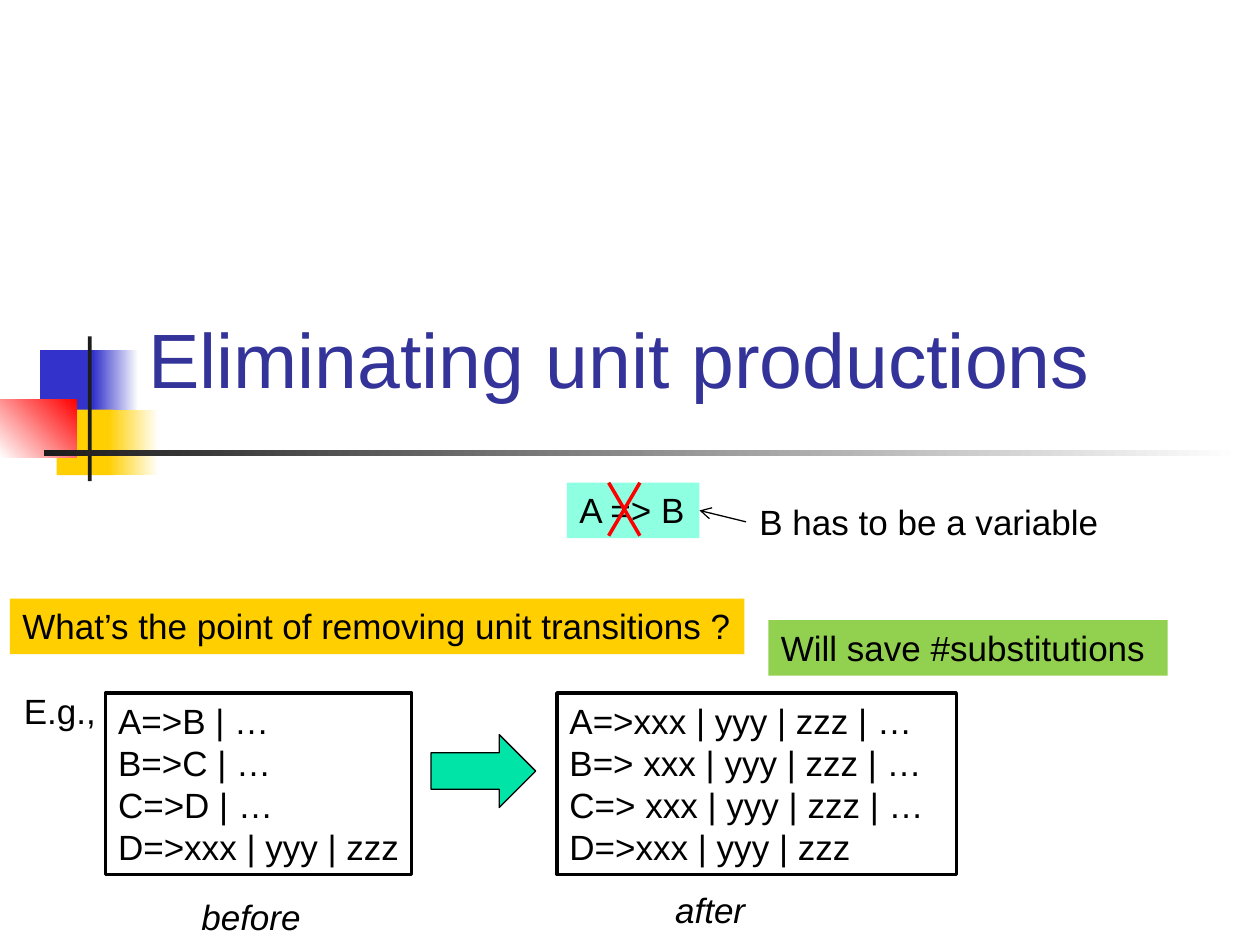
from pptx import Presentation
from pptx.dml.color import RGBColor
from pptx.enum.shapes import MSO_CONNECTOR, MSO_SHAPE
from pptx.enum.text import MSO_ANCHOR, PP_ALIGN
from pptx.oxml.ns import qn
from pptx.util import Cm, Pt
from lxml import etree

RECTANGLE = MSO_SHAPE.RECTANGLE
RIGHT_ARROW = MSO_SHAPE.RIGHT_ARROW
STRAIGHT = MSO_CONNECTOR.STRAIGHT
TOP, BOTTOM = MSO_ANCHOR.TOP, MSO_ANCHOR.BOTTOM
LEFT = PP_ALIGN.LEFT
RIGHT_SIDE = 3

COLORS = {
    "blue": "3333CC", "yellow": "FFCF01", "red": "FF0000", "dark": "1C1C1C",
    "white": "FFFFFF", "black": "000000", "title": "333399",
    "aqua": "8EFFE1", "teal": "00E4A8", "green": "92D050",
}
RGB = {name: RGBColor.from_string(value) for name, value in COLORS.items()}

prs = Presentation()
prs.slide_width, prs.slide_height = Cm(25.4), Cm(19.05)
slide = prs.slides.add_slide(prs.slide_layouts[6])
shapes = slide.shapes


def add_block(box, fill=None, fade_to=None, angle=0, outline=None, preset=RECTANGLE):
    """Add a preset shape, filled plainly or fading from one colour to another."""
    block = shapes.add_shape(preset, *[Cm(n) for n in box])
    block.shadow.inherit = False
    if fade_to:
        block.fill.gradient()
        block.fill.gradient_angle = angle
        for stop, color in zip(block.fill.gradient_stops, (fill, fade_to)):
            stop.color.rgb = RGB[color]
        block.fill.gradient_stops[0].position = 0
        block.fill.gradient_stops[1].position = 1
    elif fill:
        block.fill.solid()
        block.fill.fore_color.rgb = RGB[fill]
    if outline:
        block.line.color.rgb = RGB["black"]
        block.line.width = Pt(outline)
    else:
        block.line.fill.background()
    return block


def write(holder, lines, size=20, color="black", italic=False, anchor=TOP):
    frame = holder.text_frame
    frame.word_wrap = True
    frame.vertical_anchor = anchor
    frame.margin_right = 0
    for number, line in enumerate(lines):
        paragraph = frame.add_paragraph() if number else frame.paragraphs[0]
        paragraph.alignment = LEFT
        run = paragraph.add_run()
        run.text = line
        run.font.name = "Arial"
        run.font.size = Pt(size)
        run.font.italic = italic
        run.font.color.rgb = RGB[color]


# Corner ornament and title
for box, fill, fade_to, angle in [
    ((0.81, 7.06, 1.22, 1.32), "blue", None, 0),
    ((1.88, 7.06, 0.91, 1.32), "blue", "white", 0),
    ((1.14, 8.26, 1.17, 1.32), "yellow", None, 0),
    ((2.18, 8.26, 1.02, 1.32), "yellow", "white", 0),
    ((0, 8.05, 1.55, 1.17), "white", "red", 45),
    ((1.77, 6.78, 0.08, 2.92), "dark", None, 0),
    ((0.89, 9.07, 24.13, 0.13), "dark", "white", 0),
]:
    add_block(box, fill, fade_to, angle)

title = shapes.add_textbox(Cm(2.74), Cm(5.08), Cm(21.59), Cm(3.18))
write(title, ["Eliminating unit productions"], 44, "title", anchor=BOTTOM)

# Crossed-out unit production
LINE_HEIGHT = 1.12
unit_production = add_block((11.43, 9.73, 2.67, LINE_HEIGHT), "aqua")
write(unit_production, ["A => B"])

cross_left, cross_right, cross_top, cross_bottom = 12.27, 12.9, 9.73, 10.8
connectors = []
for start_x, start_y, end_x, end_y, color, width in [
    (cross_left, cross_top, cross_right, cross_bottom, "red", 2),
    (cross_right, cross_top, cross_left, cross_bottom, "red", 2),
    (15.04, 10.52, 14.1, 10.29, "black", 0.75),
]:
    connector = shapes.add_connector(
        STRAIGHT, Cm(start_x), Cm(start_y), Cm(end_x), Cm(end_y))
    connector.line.color.rgb = RGB[color]
    connector.line.width = Pt(width)
    etree.SubElement(connector.element.spPr, qn("a:effectLst"))
    connectors.append(connector)

variable_pointer = connectors[-1]
variable_pointer.end_connect(unit_production, RIGHT_SIDE)
etree.SubElement(variable_pointer.line._get_or_add_ln(), qn("a:tailEnd"), type="arrow")

# Question and answer
question = add_block((0.2, 12.07, 14.81, LINE_HEIGHT), "yellow")
write(question, ["What’s the point of removing unit transitions ?"])
answer = add_block((15.49, 12.5, 8.05, LINE_HEIGHT), "green")
write(answer, ["Will save #substitutions"])

# Grammar before and after
for left, width, rules in [
    (2.13, 6.17, ["A=>B | …", "B=>C | …", "C=>D | …", "D=>xxx | yyy | zzz"]),
    (11.23, 8.05, ["A=>xxx | yyy | zzz | …", "B=> xxx | yyy | zzz | …",
                   "C=> xxx | yyy | zzz | …", "D=>xxx | yyy | zzz"]),
]:
    grammar = add_block((left, 13.97, width, 3.66), "white", outline=2)
    write(grammar, rules)
add_block((8.69, 14.81, 2.11, 1.47), "teal", outline=0.75, preset=RIGHT_ARROW)

# Plain labels
for left, top, width, label, italic in [
    (15.06, 9.96, 7.34, "B has to be a variable", False),
    (0.23, 13.77, 2.16, "E.g.,", False),
    (3.81, 17.93, 2.51, "before", True),
    (13.36, 17.78, 1.9, "after", True),
]:
    caption = shapes.add_textbox(Cm(left), Cm(top), Cm(width), Cm(LINE_HEIGHT))
    write(caption, [label], italic=italic)

prs.save("out.pptx")
